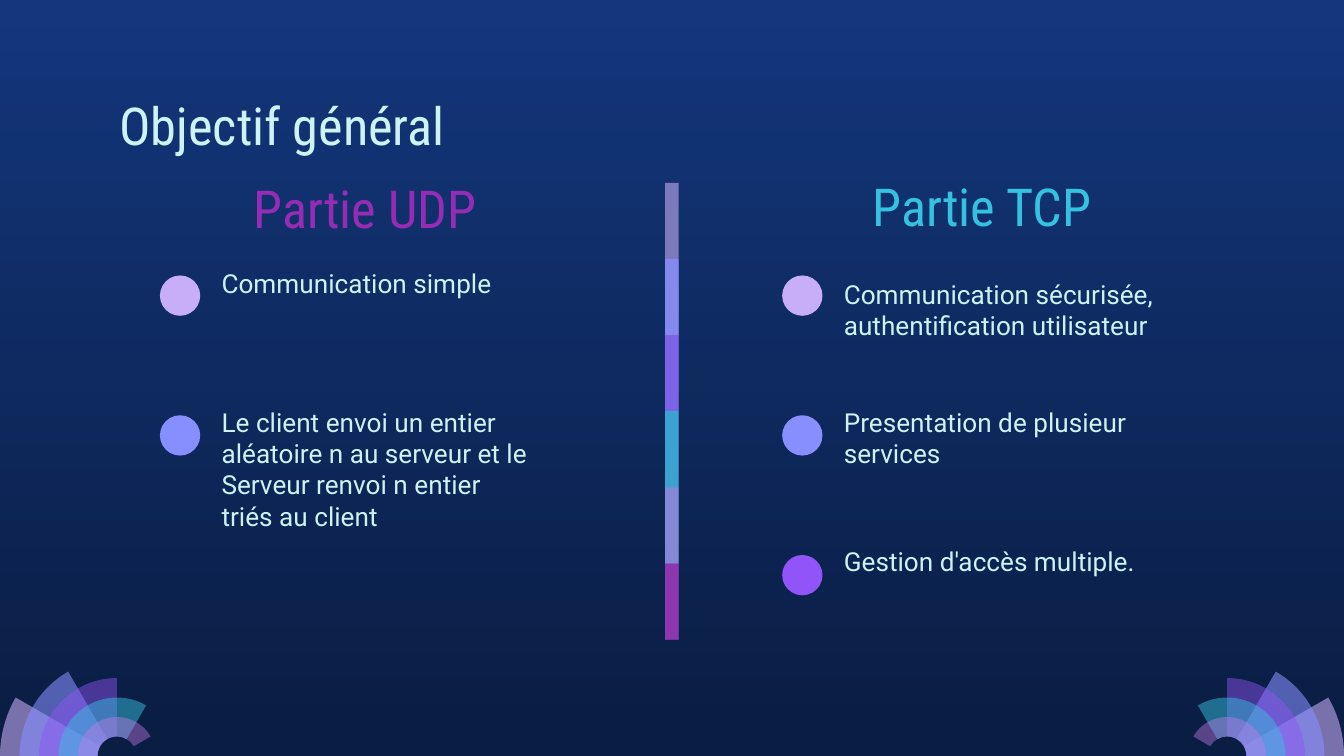
import math

import pptx
import pptx.dml.color
import pptx.enum.shapes
import pptx.enum.text
import pptx.oxml
import pptx.oxml.ns
import pptx.util

Inches = pptx.util.Inches
RGBColor = pptx.dml.color.RGBColor
SHAPE = pptx.enum.shapes.MSO_SHAPE
ANCHOR = pptx.enum.text.MSO_ANCHOR
ALIGN = pptx.enum.text.PP_ALIGN
A_NS = pptx.oxml.ns.nsdecls("a")

NAVY = RGBColor(0x13, 0x36, 0x7C)
NIGHT = RGBColor(0x0A, 0x1D, 0x42)
ICE = RGBColor(0xCE, 0xF3, 0xF5)
LILAC = RGBColor(0xC8, 0xAE, 0xF8)
PERIWINKLE = RGBColor(0x87, 0x8F, 0xFF)
VIOLET = RGBColor(0x91, 0x54, 0xF8)
CYAN = RGBColor(0x35, 0xC2, 0xDF)
ORCHID = RGBColor(0xCA, 0x7B, 0xEB)
MAGENTA = RGBColor(0x97, 0x2C, 0xB4)


def paint(sp, color, alpha=100):
    """Flat fill, no line, no shadow; alpha is opacity in percent."""
    sp.shadow.inherit = False
    sp.line.fill.background()
    sp.fill.solid()
    sp.fill.fore_color.rgb = color
    if alpha < 100:
        clr = sp.fill._xPr.find(".//" + pptx.oxml.ns.qn("a:srgbClr"))
        clr.append(pptx.oxml.parse_xml(f'<a:alpha {A_NS} val="{alpha * 1000}"/>'))


def write(sp, text, size, font, color, anchor=ANCHOR.TOP, align=ALIGN.LEFT):
    tf = sp.text_frame
    tf.word_wrap = True
    tf.auto_size = pptx.enum.text.MSO_AUTO_SIZE.NONE
    tf.vertical_anchor = anchor
    tf.margin_left = tf.margin_right = Inches(0.1)
    tf.margin_top = tf.margin_bottom = Inches(0.1)
    p = tf.paragraphs[0]
    p.text = text
    p.alignment = align
    p.font.size = pptx.util.Pt(size)
    p.font.name = font
    p.font.color.rgb = color


prs = pptx.Presentation()
prs.slide_width = Inches(10)
prs.slide_height = Inches(5.625)
s = prs.slides.add_slide(prs.slide_layouts[5])

# Background
bg = s.background.fill
bg.gradient()
bg.gradient_angle = 270
for stop, color, position in zip(bg.gradient_stops, (NAVY, NIGHT), (0, 1)):
    stop.color.rgb = color
    stop.position = position

# Corner fans: each ring is narrower and sweeps 30 degrees further
RINGS = [(LILAC, 58), (PERIWINKLE, 58), (VIOLET, 46), (CYAN, 49), (ORCHID, 42)]
STEP = 0.145
for center_x, side in ((0.87, -1), (9.13, 1)):
    fan = s.shapes.add_group_shape()
    for i, (color, alpha) in enumerate(RINGS):
        sweep = 30 * (i + 1)
        angles = [0, 90, sweep] if sweep > 90 else [0, sweep]
        nodes = [(STEP * (6 - i), a) for a in angles]
        nodes += [(STEP, a) for a in reversed(angles)]
        offsets = [r * complex(math.cos(math.radians(a)), math.sin(math.radians(a)))
                   for r, a in nodes]
        points = [(Inches(center_x + side * z.real), Inches(5.625 - z.imag))
                  for z in offsets]
        fb = fan.shapes.build_freeform(*points[0])
        fb.add_line_segments(points[1:], close=True)
        sp = fb.convert_to_shape()
        paint(sp, color, alpha)
        # Bend the edges that run along one radius into Bezier arcs
        edges = list(sp._element.iter(pptx.oxml.ns.qn("a:lnTo")))
        for j, edge in enumerate(edges):
            (r0, a0), (r1, a1) = nodes[j:j + 2]
            if r0 != r1:
                continue
            k = 4 / 3 * math.tan(math.radians(a1 - a0) / 4)
            curve = (offsets[j] * (1 + k * 1j), offsets[j + 1] * (1 - k * 1j),
                     offsets[j + 1])
            pts = "".join(
                f'<a:pt x="{Inches(center_x + side * z.real) - sp.left}" '
                f'y="{Inches(5.625 - z.imag) - sp.top}"/>' for z in curve)
            edge.getparent().replace(edge, pptx.oxml.parse_xml(
                f"<a:cubicBezTo {A_NS}>{pts}</a:cubicBezTo>"))

# Title
title = s.shapes.title
title.left, title.top = Inches(0.79), Inches(0.59)
title.width, title.height = Inches(8.43), Inches(0.63)
write(title, "Objectif général", 28, "Roboto Condensed", ICE)

# Column headings
for text, left, top, color in (("Partie TCP", 6.13, 1.24, CYAN),
                               ("Partie UDP", 1.54, 1.26, MAGENTA)):
    sp = s.shapes.add_textbox(Inches(left), Inches(top), Inches(2.35), Inches(0.62))
    write(sp, text, 28, "Roboto Condensed", color, ANCHOR.BOTTOM, ALIGN.CENTER)

# Divider: translucent bars, each overlapping half of the one before
BARS = [(LILAC, 59), (PERIWINKLE, 74), (VIOLET, 53), (CYAN, 76), (ORCHID, 56),
        (MAGENTA, 74)]
BAR_STEP = 3.4 / len(BARS)
divider = s.shapes.add_group_shape()
for i, (color, alpha) in enumerate(BARS):
    height = BAR_STEP * min(2, len(BARS) - i)
    sp = divider.shapes.add_shape(SHAPE.RECTANGLE, Inches(4.95),
                                  Inches(1.36 + BAR_STEP * i),
                                  Inches(0.1), Inches(height))
    paint(sp, color, alpha)

# Points with dots: column left, row, text top, text height, text
POINTS = [
    (1.19, 0, 1.89, 0.62, "Communication simple"),
    (1.19, 1, 2.92, 1.32, "Le client envoi un entier aléatoire n au serveur et le "
                          "Serveur renvoi n entier triés au client"),
    (5.82, 0, 1.97, 0.62, "Communication sécurisée, authentification utilisateur"),
    (5.82, 1, 2.92, 0.62, "Presentation de plusieur services"),
    (5.82, 2, 3.96, 0.62, "Gestion d'accès multiple."),
]
DOTS = [LILAC, PERIWINKLE, VIOLET]
for left, row, top, height, text in POINTS:
    dot = s.shapes.add_shape(SHAPE.OVAL, Inches(left), Inches(2.05 + 1.04 * row),
                             Inches(0.3), Inches(0.3))
    paint(dot, DOTS[row])
    sp = s.shapes.add_textbox(Inches(left + 0.36), Inches(top),
                              Inches(2.52), Inches(height))
    write(sp, text, 14, "Roboto", ICE)

prs.save("out.pptx")
